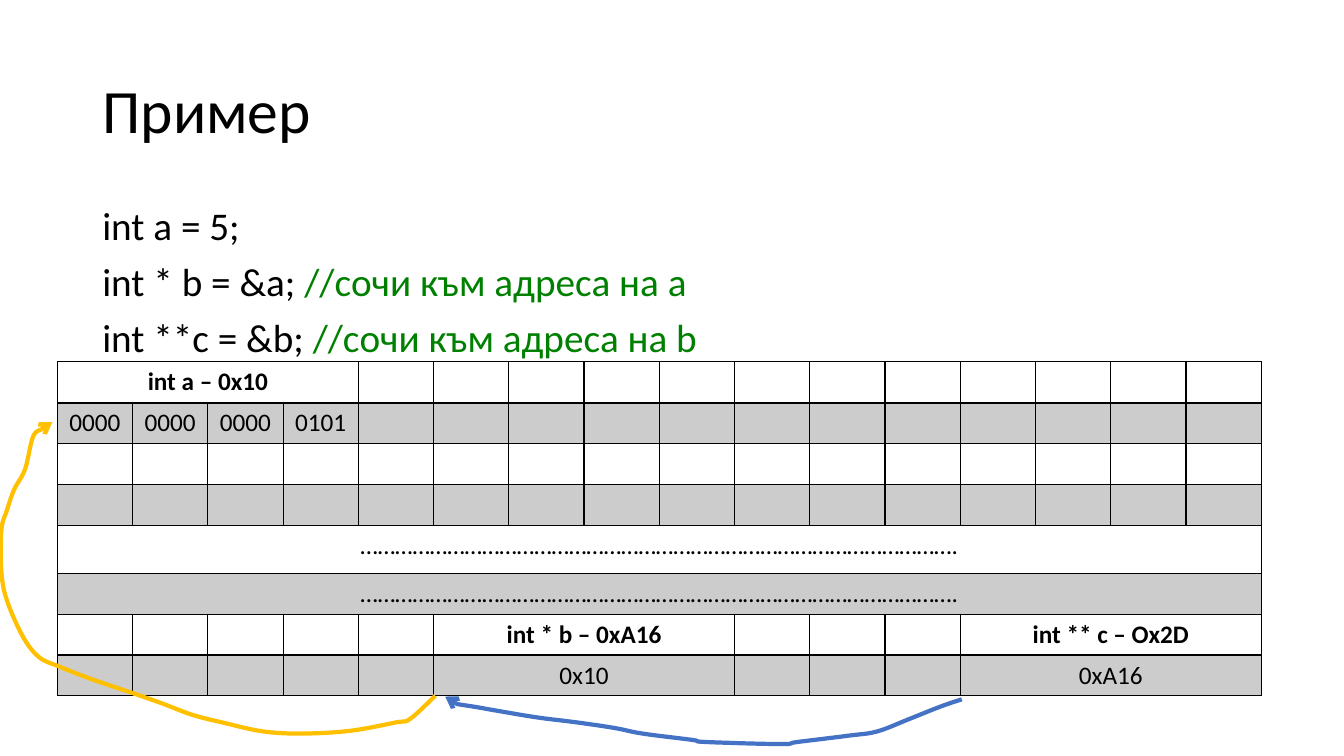
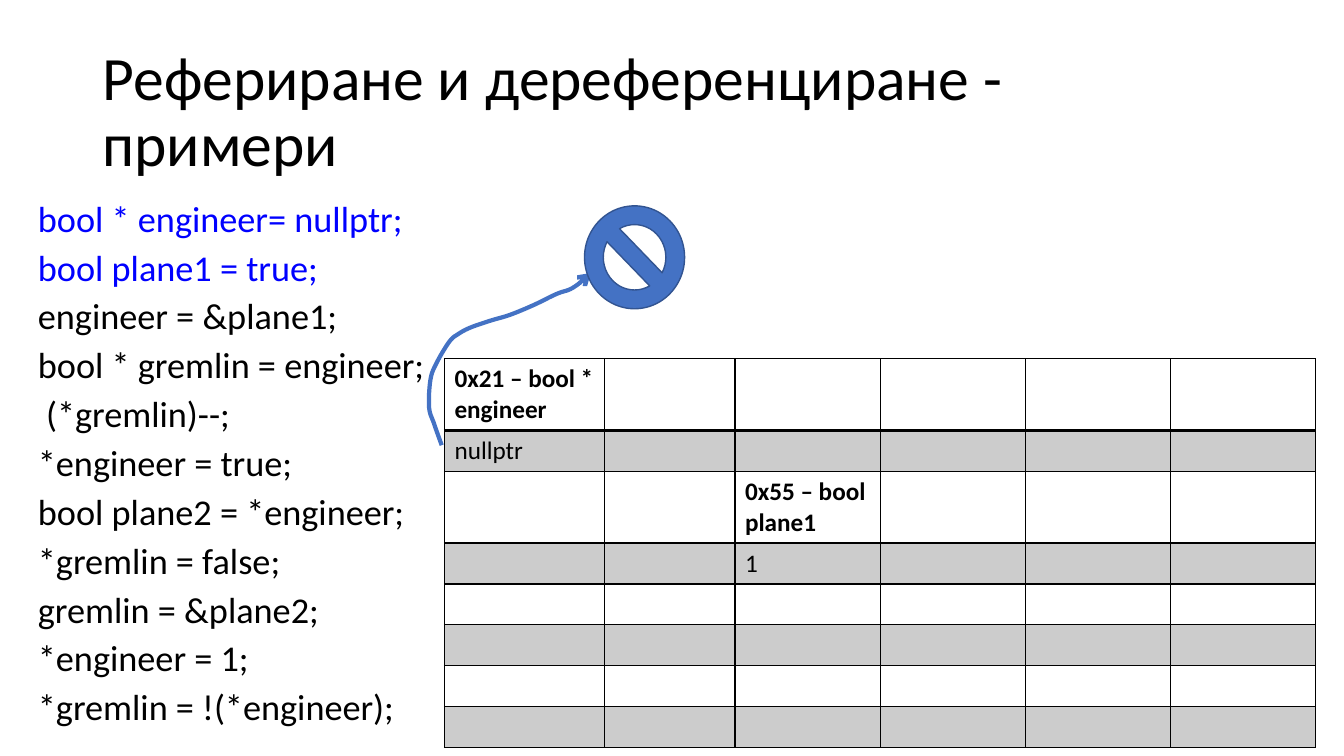
from lxml.etree import SubElement
from pptx import Presentation
from pptx.dml.color import RGBColor
from pptx.enum.shapes import MSO_SHAPE as Preset
from pptx.enum.text import MSO_ANCHOR as Anchor, MSO_AUTO_SIZE as AutoSize, PP_ALIGN as Align
from pptx.oxml.ns import qn
from pptx.util import Pt

BLACK, GREY, GREEN, CODE_BLUE = "000000", "CCCCCC", "008000", "0000FF"
YELLOW, BLUE, DARK_BLUE = "FFC000", "4472C4", "325491"


def rgb(value):
    return RGBColor.from_string(value)


def smooth(points, steps=6):
    """Return points along a Catmull-Rom curve through the given points."""
    ends = [points[0], *points, points[-1]]
    curve = [points[0]]
    for a, b, c, d in zip(ends, ends[1:], ends[2:], ends[3:]):
        for step in range(1, steps + 1):
            t = step / steps
            curve.append(tuple(
                (2 * q + (r - p) * t + (2 * p - 5 * q + 4 * r - s) * t ** 2
                 + (3 * q - p - 3 * r + s) * t ** 3) / 2
                for p, q, r, s in zip(a, b, c, d)))
    return [(Pt(x), Pt(y)) for x, y in curve]


class SlideWriter:
    font = "Calibri"
    title_size = 44
    cell_size = 18

    def __init__(self):
        self.deck = Presentation()
        self.deck.slide_width, self.deck.slide_height = Pt(960), Pt(540)
        self.page = None

    def add_run(self, para, text, size, color=BLACK, bold=False):
        span = para.add_run()
        span.text = text
        span.font.name, span.font.size, span.font.bold = self.font, Pt(size), bold
        span.font.color.rgb = rgb(color)

    def start(self, title):
        """Open a title-only slide and format its title."""
        self.page = self.deck.slides.add_slide(self.deck.slide_layouts[5])
        box = self.page.shapes.title
        box.left, box.top, box.width, box.height = Pt(66), Pt(28.75), Pt(828), Pt(104.4)
        frame = box.text_frame
        frame.word_wrap, frame.auto_size = True, AutoSize.NONE
        frame.vertical_anchor = Anchor.MIDDLE
        para = frame.paragraphs[0]
        para.alignment, para.line_spacing = Align.LEFT, 0.9
        self.add_run(para, title, self.title_size)

    def code(self, left, top, width, height, lines, size, spacing):
        """Each line is a list of (text, colour) runs."""
        box = self.page.shapes.add_textbox(Pt(left), Pt(top), Pt(width), Pt(height))
        frame = box.text_frame
        frame.word_wrap = True
        for index, line in enumerate(lines):
            para = frame.add_paragraph() if index else frame.paragraphs[0]
            para.line_spacing = spacing
            para.space_before = Pt(10 if index else 0)
            for text, color in line:
                self.add_run(para, text, size, color)

    def border(self, cell, row):
        """Black 1 pt lines, with a 2 pt rule below the first row."""
        heavy = {0: "B", 1: "T"}.get(row)
        props = cell._tc.get_or_add_tcPr()
        for side in "LRTB":
            line = SubElement(props, qn(f"a:ln{side}"),
                              w=str(Pt(2 if side == heavy else 1)))
            fill = SubElement(line, qn("a:solidFill"))
            SubElement(fill, qn("a:srgbClr"), val=BLACK)

    def memory(self, left, top, widths, heights, entries, align):
        """Entries are (row, column, columns spanned, bold, paragraphs)."""
        table = self.page.shapes.add_table(
            len(heights), len(widths), Pt(left), Pt(top),
            Pt(sum(widths)), Pt(sum(heights))).table
        table.first_row = table.horz_banding = False
        for column, width in zip(table.columns, widths):
            column.width = Pt(width)
        for index, height in enumerate(heights):
            table.rows[index].height = Pt(height)
            for cell in table.rows[index].cells:
                self.border(cell, index)
                if index % 2:
                    cell.fill.solid()
                    cell.fill.fore_color.rgb = rgb(GREY)
                else:
                    cell.fill.background()
        for row, column, span, bold, texts in entries:
            cell = table.cell(row, column)
            if span > 1:
                cell.merge(table.cell(row, column + span - 1))
            frame = cell.text_frame
            for index, text in enumerate(texts):
                para = frame.add_paragraph() if index else frame.paragraphs[0]
                para.alignment = align
                self.add_run(para, text, self.cell_size, bold=bold)

    def arrow(self, points, color):
        """Hand-drawn curve with an open arrowhead at its end."""
        start, *rest = smooth(points)
        builder = self.page.shapes.build_freeform(*start)
        builder.add_line_segments(rest, close=False)
        curve = builder.convert_to_shape()
        curve.shadow.inherit = False
        curve.fill.background()
        curve.line.color.rgb = rgb(color)
        curve.line.width = Pt(3)
        SubElement(curve.line._get_or_add_ln(), qn("a:tailEnd"), type="arrow")

    def null_sign(self, left, top, width, height):
        sign = self.page.shapes.add_shape(
            Preset.NO_SYMBOL, Pt(left), Pt(top), Pt(width), Pt(height))
        sign.rotation = 180
        sign.shadow.inherit = False
        sign.fill.solid()
        sign.fill.fore_color.rgb = rgb(BLUE)
        sign.line.color.rgb = rgb(DARK_BLUE)
        sign.line.width = Pt(1)


def pointer_chain(writer):
    writer.start("Пример")
    writer.code(66, 143.75, 828, 342.6, [
        [("int a = 5;", BLACK)],
        [("int * b = &a; ", BLACK), ("//сочи към адреса на а", GREEN)],
        [("int **c = &b; ", BLACK), ("//сочи към адреса на b", GREEN)],
    ], size=28, spacing=0.9)

    # Memory map
    dots = "…" * 34 + "."
    bits = ["0000", "0000", "0000", "0101"]
    entries = [(0, 0, 4, True, ["int a – 0x10"])]
    entries += [(1, column, 1, False, [text]) for column, text in enumerate(bits)]
    entries += [(row, 0, 16, False, [dots]) for row in (4, 5)]
    for column, label, value in ((5, "int * b – 0xA16", "0x10"),
                                 (12, "int ** c – Ox2D", "0xA16")):
        entries += [(6, column, 4, True, [label]), (7, column, 4, False, [value])]
    heights = [29.2] * 4 + [34.2] + [29.2] * 3
    writer.memory(41, 258.5, [53.75] * 16, heights, entries, Align.CENTER)

    # Pointer b to a, then pointer c to b
    writer.arrow([
        (311, 497), (293, 513.5), (283, 516), (250.5, 522), (216.5, 524),
        (188, 522.5), (158.5, 516), (137, 510.5), (114.5, 502), (93, 494.5),
        (65, 485), (42, 476), (28, 469.5), (16.5, 455), (5, 429), (1, 408),
        (1, 378.5), (5, 364.5), (10, 350), (18, 335), (24, 311), (32.5, 306),
        (37.5, 301.5)], YELLOW)
    writer.arrow([
        (687, 499.5), (671, 505), (648.5, 514), (626.5, 522.5), (606, 525.5),
        (569.5, 530), (558, 531.5), (504, 530), (494.5, 528.5), (459, 524),
        (439, 520), (412, 516), (384, 512.5), (357, 508), (340, 505),
        (323, 502), (318, 497.5)], BLUE)


def null_pointer(writer):
    writer.start("Рефериране и дереференциране - примери")
    current = ["bool * engineer= nullptr;", "bool plane1 = true;"]
    later = ["engineer = &plane1;", "bool * gremlin = engineer;", " (*gremlin)--;",
             "*engineer = true;", "bool plane2 = *engineer;", "*gremlin = false;",
             "gremlin = &plane2;", "*engineer = 1;", "*gremlin = !(*engineer);"]
    lines = [[(text, CODE_BLUE)] for text in current]
    lines += [[(text, BLACK)] for text in later]
    writer.code(20, 142.5, 931, 396, lines, size=25.9, spacing=0.8)

    # Memory map
    writer.memory(317.5, 256.3, [114.5, 93] + [103.7] * 4,
                  [51.2, 29.2] * 2 + [29.2] * 4, [
                      (0, 0, 1, True, ["0x21 – bool * engineer"]),
                      (1, 0, 1, False, ["nullptr"]),
                      (2, 2, 1, True, ["0x55 – bool", "plane1"]),
                      (3, 2, 1, False, ["1"]),
                  ], Align.LEFT)

    # Pointer to nothing
    writer.arrow([
        (315.5, 318), (310, 302.5), (306.5, 291), (307.5, 271), (312, 259),
        (321, 244), (327.5, 238.5), (336, 234), (350.5, 229), (364, 225),
        (381, 218), (397.5, 210), (407.5, 206.5), (415.5, 201), (422, 195)], BLUE)
    writer.null_sign(417.5, 147, 71.5, 73.5)


def main():
    writer = SlideWriter()
    pointer_chain(writer)
    null_pointer(writer)
    writer.deck.save("out.pptx")


if __name__ == "__main__":
    main()
